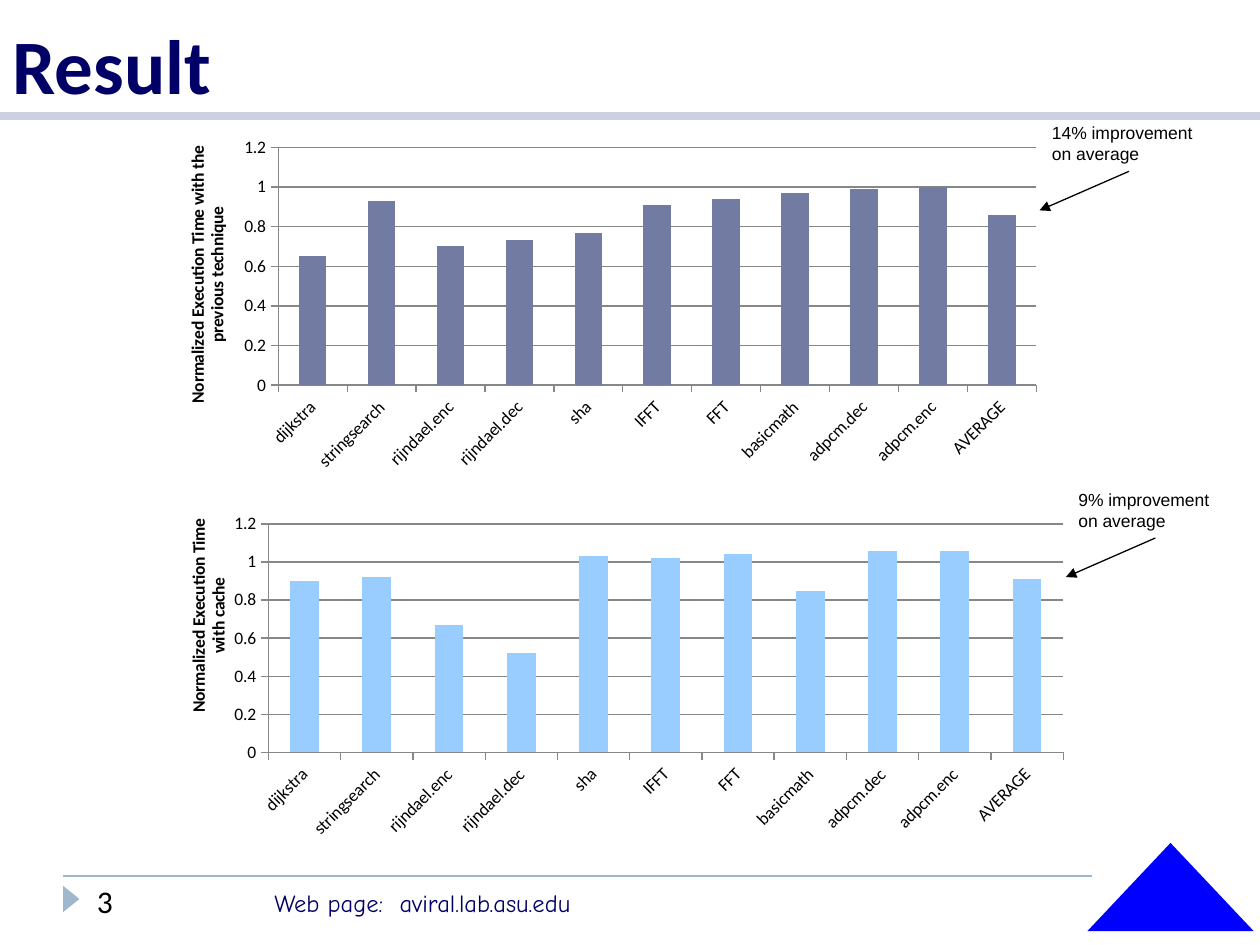
from lxml import etree
from pptx import Presentation
from pptx import util as u
from pptx.chart.data import CategoryChartData
from pptx.dml.color import RGBColor
from pptx.enum import chart as charts, shapes, text
from pptx.oxml.ns import qn

NAVY = RGBColor(0x00, 0x00, 0x66)
BLACK = RGBColor(0, 0, 0)
BLUE = RGBColor(0x00, 0x00, 0xFF)
STEEL = RGBColor(0x9F, 0xB8, 0xCD)
PALE = RGBColor(0xCC, 0xD0, 0xE0)
SLATE = RGBColor(0x72, 0x7C, 0xA3)
SKY = RGBColor(0x99, 0xCC, 0xFF)
GREY = RGBColor(0x87, 0x87, 0x87)

WIDTH, HEIGHT = 10, 7.5
RULE_Y = 0.92
FOOTER_Y = 6.95
CHART_LEFT, CHART_WIDTH = 1.38, 7.08
BENCHMARKS = ["dijkstra", "stringsearch", "rijndael.enc", "rijndael.dec", "sha", "IFFT",
              "FFT", "basicmath", "adpcm.dec", "adpcm.enc", "AVERAGE"]
PREVIOUS = [0.65, 0.93, 0.7, 0.73, 0.77, 0.91, 0.94, 0.97, 0.99, 1, 0.86]
CACHE = [0.9, 0.92, 0.67, 0.52, 1.03, 1.02, 1.04, 0.85, 1.06, 1.06, 0.91]


def inches(*lengths):
    return [u.Inches(length) for length in lengths]


def format_font(font, name, size, color, bold=False):
    font.name, font.size, font.bold = name, u.Pt(size), bold
    font.color.rgb = color


def add_text(slide, box, content, name, size, color):
    frame = slide.shapes.add_textbox(*inches(*box)).text_frame
    frame.word_wrap = True
    frame.text = content
    for paragraph in frame.paragraphs:
        for run in paragraph.runs:
            format_font(run.font, name, size, color)


def add_line(slide, start, end, color, width, arrow=False):
    line = slide.shapes.add_connector(shapes.MSO_CONNECTOR.STRAIGHT, *inches(*start, *end))
    line.line.color.rgb = color
    line.line.width = u.Pt(width)
    if arrow:
        etree.SubElement(line.line._get_or_add_ln(), qn("a:tailEnd"), type="triangle")
    etree.SubElement(line._element.spPr, qn("a:effectLst"))


def add_shape(slide, kind, box, color):
    shape = slide.shapes.add_shape(kind, *inches(*box))
    shape.shadow.inherit = False
    shape.fill.solid()
    shape.fill.fore_color.rgb = color
    shape.line.fill.background()
    return shape


def set_layout(element, index, **settings):
    """Place a chart part by shares of the chart's size."""
    for old in element.findall(qn("c:layout")):
        element.remove(old)
    layout = etree.Element(qn("c:layout"))
    manual = etree.SubElement(layout, qn("c:manualLayout"))
    for key, value in settings.items():
        etree.SubElement(manual, qn(f"c:{key}"), val=str(value))
    element.insert(index, layout)


def format_axis(axis):
    axis.major_tick_mark = charts.XL_TICK_MARK.OUTSIDE
    axis.minor_tick_mark = charts.XL_TICK_MARK.NONE
    axis.format.line.color.rgb = GREY
    format_font(axis.tick_labels.font, "Calibri", 10, BLACK)


def add_chart(slide, top, height, values, color, axis_title, plot_share, title_y):
    data = CategoryChartData()
    data.categories = BENCHMARKS
    data.add_series("Series 1", values)
    chart = slide.shapes.add_chart(charts.XL_CHART_TYPE.COLUMN_CLUSTERED,
                                   *inches(CHART_LEFT, top, CHART_WIDTH, height), data).chart
    chart.has_legend = chart.has_title = False
    format_font(chart.font, "Calibri", 10, BLACK)
    plot = chart.plots[0]
    plot.gap_width = 150
    plot.vary_by_categories = False
    fill = plot.series[0].format.fill
    fill.solid()
    fill.fore_color.rgb = color

    format_axis(chart.category_axis)
    labels = chart.category_axis._element.find(qn("c:txPr"))
    labels.find(qn("a:bodyPr")).set("rot", "-2700000")

    axis = chart.value_axis
    format_axis(axis)
    axis.minimum_scale, axis.maximum_scale, axis.major_unit = 0, 1.2, 0.2
    axis.major_gridlines.format.line.color.rgb = GREY
    frame = axis.axis_title.text_frame
    frame.text = axis_title
    for paragraph in frame.paragraphs:
        format_font(paragraph.runs[0].font, "Calibri", 10, BLACK, bold=True)
    body = frame._txBody.find(qn("a:bodyPr"))
    body.set("rot", "-5400000")
    body.set("vert", "horz")
    set_layout(axis.axis_title._element, 1, xMode="edge", yMode="edge", x=0.01, y=title_y)

    x, y, w, h = plot_share
    set_layout(chart._chartSpace.chart.plotArea, 0, layoutTarget="inner",
               xMode="edge", yMode="edge", x=x, y=y, w=w, h=h)


def add_callout(slide, left, top, content):
    """A remark with an arrow that points down to the AVERAGE column."""
    add_text(slide, (left, top, 1.42, 0.44), content, "Arial", 10, BLACK)
    add_line(slide, (left + 0.71, top + 0.44), (left, top + 0.75), BLACK, 0.75, arrow=True)


def add_title(slide, content):
    title = slide.shapes.title
    title.left, title.top, title.width, title.height = inches(0, 0, WIDTH, RULE_Y)
    frame = title.text_frame
    frame.text = content
    frame.vertical_anchor = text.MSO_ANCHOR.BOTTOM
    paragraph = frame.paragraphs[0]
    paragraph.alignment = text.PP_ALIGN.LEFT
    format_font(paragraph.runs[0].font, "Calibri", 44, NAVY, bold=True)


def add_footer(slide):
    add_line(slide, (0.5, FOOTER_Y), (8.67, FOOTER_Y), STEEL, 1)
    marker = add_shape(slide, shapes.MSO_SHAPE.ISOSCELES_TRIANGLE, (0.46, 7.07, 0.21, 0.13), STEEL)
    marker.rotation = 90
    add_text(slide, (2.08, 7, 3.75, 0.34), "Web page:  aviral.lab.asu.edu", "Comic Neue", 14, NAVY)
    add_text(slide, (0.67, FOOTER_Y, 1.41, 0.4), "3", "Calibri", 18, BLACK)
    add_shape(slide, shapes.MSO_SHAPE.ISOSCELES_TRIANGLE, (8.63, 6.69, 1.32, 0.7), BLUE)


def main():
    presentation = Presentation()
    presentation.slide_width, presentation.slide_height = inches(WIDTH, HEIGHT)
    slide = presentation.slides.add_slide(presentation.slide_layouts[5])
    add_line(slide, (0, RULE_Y), (WIDTH, RULE_Y), PALE, 5)
    add_footer(slide)
    add_title(slide, "Result")
    add_chart(slide, 1.08, 2.75, PREVIOUS, SLATE,
              "Normalized Execution Time with the previous technique",
              (0.117, 0.033, 0.85, 0.686), 0.02)
    add_chart(slide, 4.06, 2.67, CACHE, SKY, "Normalized Execution Time\nwith cache",
              (0.106, 0.037, 0.891, 0.679), 0.01)
    add_callout(slide, 8.25, RULE_Y, "14% improvement on average")
    add_callout(slide, 8.46, 3.83, "9% improvement\non average")
    presentation.save("out.pptx")


if __name__ == "__main__":
    main()
